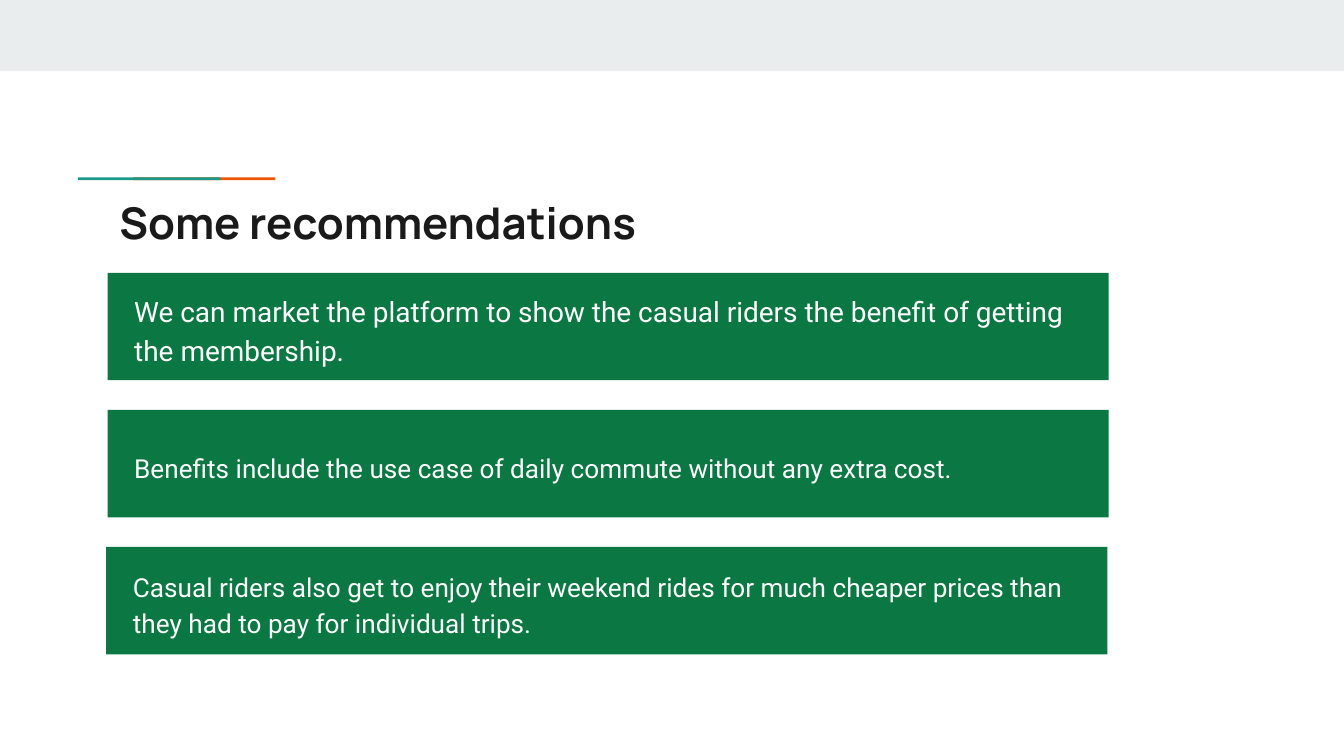
import pptx
import pptx.util
import pptx.dml.color
import pptx.enum.shapes
import pptx.enum.text

COLORS = {"band": "E9EDEE", "orange": "EB5600", "teal": "1A9988",
          "green": "0B7743", "white": "FFFFFF", "ink": "1A1A1A"}
Inches = pptx.util.Inches

# Widescreen page, 16:9
deck = pptx.Presentation()
deck.slide_width = Inches(10)
deck.slide_height = Inches(10 * 9 / 16)
page = deck.slides.add_slide(deck.slide_layouts[6])


def add_bar(left, top, width, height, color):
    bar = page.shapes.add_shape(pptx.enum.shapes.MSO_SHAPE.RECTANGLE,
                                Inches(left), Inches(top), Inches(width), Inches(height))
    bar.shadow.inherit = False
    bar.fill.solid()
    bar.fill.fore_color.rgb = pptx.dml.color.RGBColor.from_string(COLORS[color])
    bar.line.fill.background()


def add_text(left, top, width, height, text, font, size, color, inset):
    box = page.shapes.add_textbox(Inches(left), Inches(top), Inches(width), Inches(height))
    frame = box.text_frame
    frame.word_wrap = True
    frame.margin_left = frame.margin_right = Inches(0.1)
    frame.margin_top = frame.margin_bottom = Inches(inset)
    para = frame.paragraphs[0]
    span = para.add_run()
    span.text = text
    span.font.name = font
    span.font.size = pptx.util.Pt(size)
    span.font.color.rgb = pptx.dml.color.RGBColor.from_string(COLORS[color])
    return frame, para, span


# Top band and two-colour accent line, teal overlapping orange
add_bar(0, 0, 10, 0.53, "band")
for left, color in [(0.99, "orange"), (0.58, "teal")]:
    add_bar(left, 1.32, 1.06, 0.02, color)

# Title
frame, para, span = add_text(0.79, 1.36, 8.33, 0.59, "Some recommendations",
                             "Manrope", 23.4, "ink", 0.1)
span.font.bold = True

# Recommendation cards, stacked at an equal pitch
first_top, pitch, padding = 2.03, 1.02, 0.1
recommendations = [
    (0.8, 15, "We can market the platform to show the casual riders the benefit of getting the membership."),
    (0.8, 14, "Benefits include the use case of daily commute without any extra cost."),
    (0.79, 14, "Casual riders also get to enjoy their weekend rides for much cheaper prices than they had to pay for individual trips."),
]
for row, (left, size, text) in enumerate(recommendations):
    top = first_top + row * pitch
    add_bar(left, top, 7.45, 0.8, "green")
    frame, para, span = add_text(left + padding, top + padding, 7.35, 0.63,
                                 text, "Roboto", size, "white", 0.05)
    frame.vertical_anchor = pptx.enum.text.MSO_ANCHOR.MIDDLE
    para.line_spacing = 1.15

deck.save("out.pptx")
